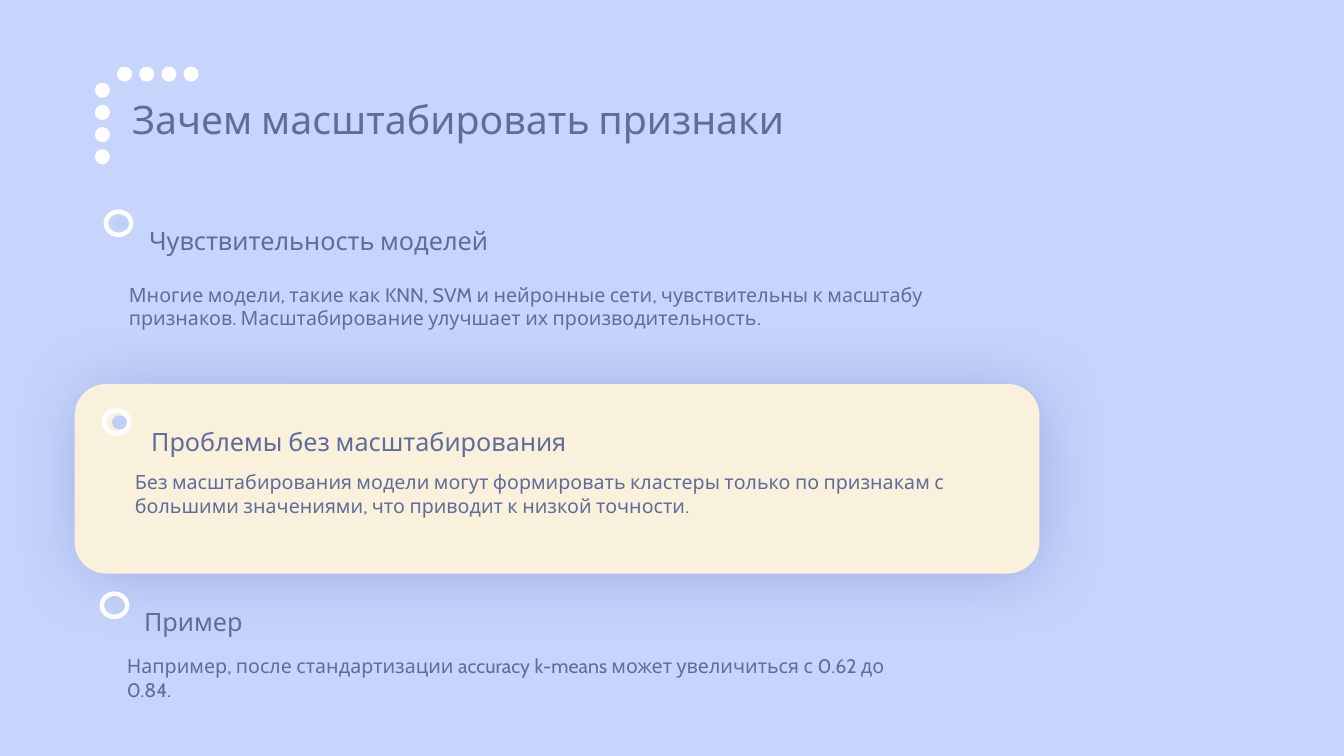
from lxml import etree
from pptx import Presentation
from pptx.dml.color import RGBColor
from pptx.enum.shapes import MSO_SHAPE
from pptx.enum.text import MSO_ANCHOR, MSO_AUTO_SIZE, PP_ALIGN
from pptx.oxml.ns import qn
from pptx.util import Inches, Pt

OVAL, ROUNDED = MSO_SHAPE.OVAL, MSO_SHAPE.ROUNDED_RECTANGLE
TOP, MIDDLE = MSO_ANCHOR.TOP, MSO_ANCHOR.MIDDLE
NO_FIT, GROW = MSO_AUTO_SIZE.NONE, MSO_AUTO_SIZE.SHAPE_TO_FIT_TEXT
LEFT, JUSTIFY = PP_ALIGN.LEFT, PP_ALIGN.JUSTIFY
TITLE_ONLY = 5

FONT = "Cabin"
BACKGROUND, TEXT, WHITE = "C7D5FC", "606C9A", "FFFFFF"
CARD, CARD_SHADOW, MARKER = "F9F1DC", "6D7ECC", "C1CEF6"
DOT_SIZE, DOT_STEP = 0.15, 0.22

# Each item: marker corner, heading box, body box
ITEMS = [
    ((1.05, 2.10), (1.38, 2.02, 6.70, 0.74), (1.18, 2.63, 8.11, 0.81),
     "Чувствительность моделей",
     "Многие модели, такие как KNN, SVM и нейронные сети, чувствительны к "
     "масштабу признаков. Масштабирование улучшает их производительность."),
    ((1.03, 4.07), (1.40, 4.01, 8.61, 0.74), (1.24, 4.49, 8.77, 0.81),
     "Проблемы без масштабирования",
     "Без масштабирования модели могут формировать кластеры только по "
     "признакам с большими значениями, что приводит к низкой точности."),
    ((1.01, 5.89), (1.33, 5.80, 7.95, 0.74), (1.16, 6.32, 8.13, 0.81),
     "Пример",
     "Например, после стандартизации accuracy k-means может увеличиться "
     "с 0.62 до 0.84."),
]


def color(value):
    return RGBColor.from_string(value)


def inches(box):
    return [Inches(length) for length in box]


def add_shape(slide, kind, box, fill=None, outline=None):
    shape = slide.shapes.add_shape(kind, *inches(box))
    shape.shadow.inherit = False
    if fill:
        shape.fill.solid()
        shape.fill.fore_color.rgb = color(fill)
    else:
        shape.fill.background()
    if outline:
        shape.line.color.rgb = color(outline)
        shape.line.width = Pt(3.25)
    else:
        shape.line.fill.background()
    return shape


def write(shape, text, size, alignment, anchor, auto_size):
    frame = shape.text_frame
    frame.word_wrap = True
    frame.auto_size = auto_size
    frame.vertical_anchor = anchor
    paragraph = frame.paragraphs[0]
    paragraph.text = text
    paragraph.alignment = alignment
    paragraph.font.name = FONT
    paragraph.font.size = Pt(size)
    paragraph.font.color.rgb = color(TEXT)


def add_text(slide, box, text, size, alignment):
    shape = slide.shapes.add_textbox(*inches(box))
    write(shape, text, size, alignment, MIDDLE, GROW)


def add_header(slide, left, top):
    # Dotted corner: one row and one column of four dots
    for index in range(4):
        offset = index * DOT_STEP
        for x, y in ((left + DOT_STEP + offset, top),
                     (left, top + 0.16 + offset)):
            add_shape(slide, OVAL, (x, y, DOT_SIZE, DOT_SIZE), WHITE)

    # Title
    title = slide.shapes.title
    title.left, title.top, title.width, title.height = inches(
        (left + 0.27, top + 0.24, 6.93, 1.6))
    write(title, "Зачем масштабировать признаки", 28, JUSTIFY, TOP, NO_FIT)


def add_card(slide, box):
    card = add_shape(slide, ROUNDED, box, CARD)
    # Soft shadow around the card
    effects = card._element.spPr.find(qn("a:effectLst"))
    shadow = etree.SubElement(
        effects, qn("a:outerShdw"), blurRad=str(Pt(51)), dist=str(Pt(4)),
        dir=str(45 * 60000), algn="ctr", rotWithShape="0")
    tint = etree.SubElement(shadow, qn("a:srgbClr"), val=CARD_SHADOW)
    etree.SubElement(tint, qn("a:alpha"), val="46000")


def add_item(slide, marker, heading_box, body_box, heading, body):
    # Ring with an inner dot
    left, top = marker
    add_shape(slide, OVAL, (left, top, 0.25, 0.23), outline=WHITE)
    add_shape(slide, OVAL, (left + 0.08, top + 0.05, 0.15, 0.14), MARKER)
    # Heading and explanation
    add_text(slide, heading_box, heading, 18, JUSTIFY)
    add_text(slide, body_box, body, 14, LEFT)


def main():
    presentation = Presentation()
    presentation.slide_width = Inches(13.33)
    presentation.slide_height = Inches(7.5)
    slide = presentation.slides.add_slide(
        presentation.slide_layouts[TITLE_ONLY])
    slide.background.fill.solid()
    slide.background.fill.fore_color.rgb = color(BACKGROUND)

    add_header(slide, 0.94, 0.66)
    add_card(slide, (0.74, 3.81, 9.57, 1.88))
    for item in ITEMS:
        add_item(slide, *item)
    presentation.save("out.pptx")


if __name__ == "__main__":
    main()
